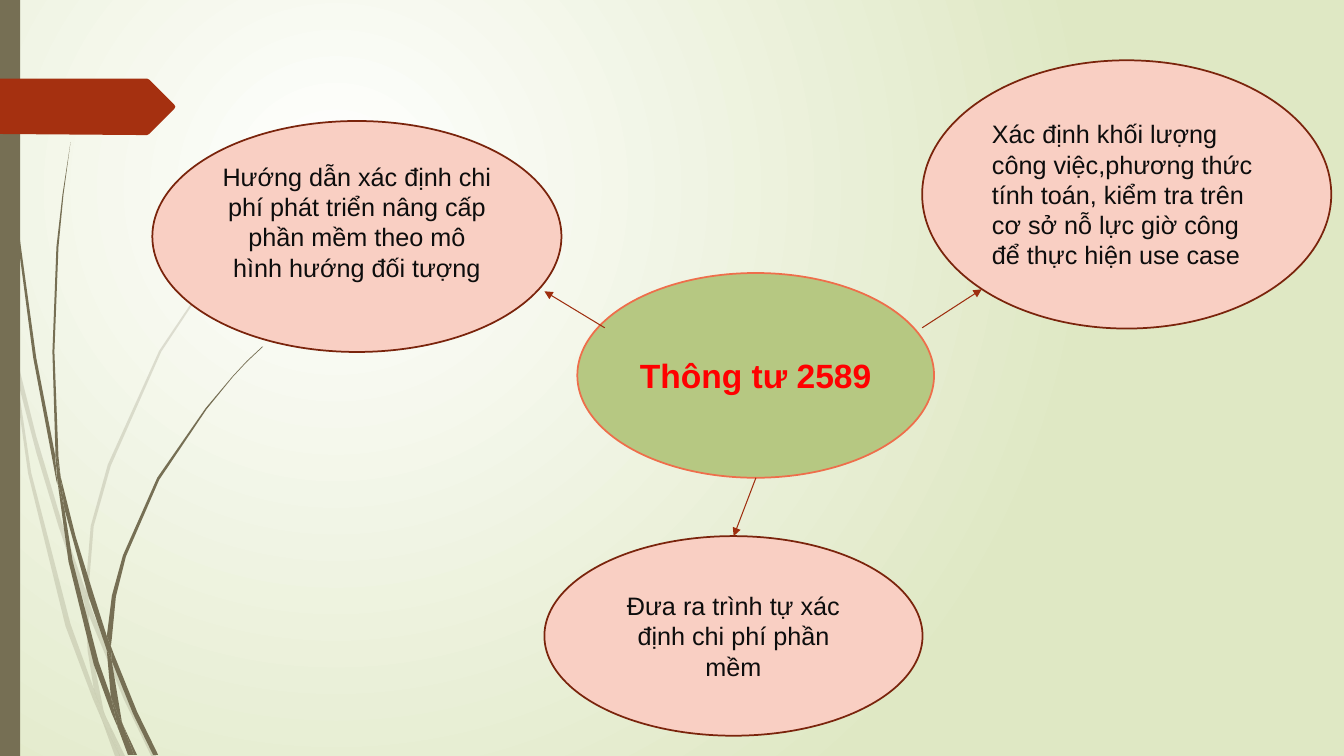
import pptx
import pptx.dml.color
import pptx.enum.dml
import pptx.enum.shapes
import pptx.enum.text
import pptx.oxml
import pptx.oxml.ns
import pptx.util
from lxml import etree

Cm = pptx.util.Cm
Pt = pptx.util.Pt
qn = pptx.oxml.ns.qn
ALIGN = pptx.enum.text.PP_ALIGN
SHAPE = pptx.enum.shapes.MSO_SHAPE

UNIT = Cm(2.54) / 100
OLIVE = "766F54"
RUST = "A53010"

BACK_BLADES = [
    [(11, 350), (9, 322), (0, 282), (0, 299), (10, 344)],
    [(58, 522), (84, 599), (85, 586), (62, 520), (36, 433), (14, 345), (17, 376), (36, 449)],
    [(92, 607), (88, 596), (88, 610), (123, 694), (150, 750), (155, 750), (127, 692)],
    [(119, 750), (124, 750), (105, 711)],
    [(93, 683), (70, 619), (31, 469), (17, 376), (11, 350), (28, 470), (65, 621),
     (92, 693), (101, 714), (99, 707)],
    [(84, 599), (87, 646), (93, 683), (96, 692), (105, 711), (103, 706), (91, 646),
     (88, 610), (88, 608)],
    [(88, 584), (93, 522), (110, 462), (160, 349), (229, 245), (268, 198), (290, 175),
     (312, 154), (312, 153), (289, 175), (268, 197), (228, 244), (158, 348), (107, 461),
     (90, 522), (85, 584), (85, 586), (88, 596)],
    [(101, 714), (114, 750), (119, 750)],
    [(88, 608), (88, 610), (88, 596), (85, 586), (84, 599)],
    [(96, 692), (93, 683), (99, 707), (101, 714), (119, 750), (105, 711)],
]

FRONT_BLADES = [
    [(7, 110), (17, 233), (33, 355), (56, 477), (57, 481), (55, 457), (55, 453), (36, 355),
     (19, 232), (8, 109), (5, 48), (4, 0), (3, 0), (4, 48)],
    [(88, 592), (106, 645), (106, 633), (106, 631), (93, 590), (75, 532), (60, 472), (64, 505)],
    [(113, 649), (110, 641), (111, 656), (132, 708), (152, 749), (157, 749), (136, 706)],
    [(110, 691), (98, 657), (72, 556), (64, 505), (57, 477), (68, 557), (93, 659),
     (111, 708), (117, 722), (116, 717)],
    [(60, 472), (58, 453), (54, 349), (58, 245), (63, 193), (70, 141), (62, 193), (56, 245),
     (52, 349), (55, 449)],
    [(133, 749), (136, 749), (122, 719)],
    [(57, 477), (64, 505), (60, 472), (55, 449), (55, 453)],
    [(111, 633), (115, 592), (125, 552), (158, 476), (205, 406), (231, 374), (245, 359),
     (261, 344), (260, 344), (245, 358), (231, 373), (204, 405), (156, 474), (122, 551),
     (111, 591), (106, 631), (110, 641)],
    [(117, 722), (127, 749), (131, 749)],
    [(106, 645), (110, 691), (116, 706), (122, 719), (121, 716), (111, 656), (109, 651)],
    [(106, 645), (109, 651), (111, 656), (110, 641), (106, 631), (106, 633)],
    [(116, 706), (110, 691), (116, 717), (117, 722), (130, 749), (133, 749), (122, 719)],
]

PENNANT = [(174, 106), (173, 108), (148, 133), (146, 134), (136, 134), (0, 133), (0, 78),
           (136, 78), (146, 78), (148, 79), (173, 104)]

TOPICS = [
    (3.84, 3.05, 10.31, 5.82, ALIGN.CENTER, 0.87,
     "Hướng dẫn xác định chi phí phát triển nâng cấp phần mềm theo mô hình hướng đối tượng"),
    (23.24, 1.52, 10.31, 6.76, ALIGN.LEFT, 0.13,
     "Xác định khối lượng công việc,phương thức tính toán, kiểm tra trên cơ sở nỗ lực "
     "giờ công để thực hiện use case"),
    (13.72, 13.51, 9.53, 5.03, ALIGN.CENTER, 0.13,
     "Đưa ra trình tự xác định chi phí phần mềm"),
]

ARROWS = [
    (15.24, 8.26, 13.72, 7.34),
    (23.24, 8.26, 24.74, 7.29),
    (19.05, 12.04, 18.49, 13.51),
]


def rgb(value):
    """Return the colour for a hex string."""
    return pptx.dml.color.RGBColor.from_string(value)


def paint(sp, fill, line=None):
    """Give a shape a flat fill, an optional outline and no shadow."""
    sp.shadow.inherit = False
    sp.fill.solid()
    sp.fill.fore_color.rgb = rgb(fill)
    if line:
        sp.line.color.rgb = rgb(line)
        sp.line.width = Pt(1.25)
    else:
        sp.line.fill.background()


def outline(shapes, points, x, y, fill, alpha=None):
    """Draw a closed outline whose points are offsets from x, y."""
    builder = shapes.build_freeform(*points[0], scale=UNIT)
    builder.add_line_segments(points[1:], close=True)
    sp = builder.convert_to_shape(Cm(x), Cm(y))
    paint(sp, fill)
    if alpha:
        color = sp.element.spPr.find(".//" + qn("a:srgbClr"))
        etree.SubElement(color, qn("a:alpha")).set("val", str(alpha * 1000))


def background(s):
    """Fill the slide with a round gradient centred at its upper left."""
    fill = s.background.fill
    fill.gradient()
    for stop, color in zip(fill.gradient_stops, ("FFFFFF", "DFE8C4")):
        stop.color.rgb = rgb(color)
    grad = s.element.find(".//" + qn("a:gradFill"))
    lin = grad.find(qn("a:lin"))
    circle = etree.Element(qn("a:path"), path="circle")
    etree.SubElement(circle, qn("a:fillToRect"), l="50000", t="50000", r="100000", b="100000")
    grad.replace(lin, circle)


def side_decor(s, x, y, h):
    """Draw the grass blades, side bar and pennant along the left edge."""
    for blades, alpha in ((BACK_BLADES, 20), (FRONT_BLADES, None)):
        group = s.shapes.add_group_shape()
        for points in blades:
            outline(group.shapes, points, x, y, OLIVE, alpha)
    bar = s.shapes.add_shape(SHAPE.RECTANGLE, Cm(x), Cm(y), Cm(0.51), Cm(h))
    paint(bar, OLIVE)
    outline(s.shapes, PENNANT, x, y, RUST)


def bubble(s, x, y, w, h, text, fill, line, color, size, align, bottom=0.13, bold=False):
    """Draw an ellipse with one paragraph of text."""
    sp = s.shapes.add_shape(SHAPE.OVAL, Cm(x), Cm(y), Cm(w), Cm(h))
    paint(sp, fill, line)
    tf = sp.text_frame
    tf.word_wrap = True
    tf.vertical_anchor = pptx.enum.text.MSO_ANCHOR.MIDDLE
    tf.margin_bottom = Cm(bottom)
    p = tf.paragraphs[0]
    p.alignment = align
    r = p.add_run()
    r.text = text
    r.font.name = "Arial"
    r.font.size = Pt(size)
    r.font.bold = bold
    r.font.color.rgb = rgb(color)


def arrow(s, x1, y1, x2, y2):
    """Draw a thin arrow that points at its end."""
    line = s.shapes.add_connector(
        pptx.enum.shapes.MSO_CONNECTOR.STRAIGHT, Cm(x1), Cm(y1), Cm(x2), Cm(y2))
    line.line.color.rgb = rgb("9E2E0F")
    line.line.width = Pt(0.75)
    ln = line.element.spPr.find(qn("a:ln"))
    etree.SubElement(ln, qn("a:tailEnd")).set("type", "triangle")
    etree.SubElement(line.element.spPr, qn("a:effectLst"))


def mind_map(s, x, y):
    """Draw the central circular, its three topics and the arrows to them."""
    bubble(s, x + 14.55, y + 6.88, 8.99, 5.16, "Thông tư 2589",
           "B6C882", "EE6E4B", "FF0000", 24, ALIGN.CENTER, bold=True)
    for left, top, w, h, align, bottom, text in TOPICS:
        bubble(s, x + left, y + top, w, h, text,
               "F9CFC3", "7A240C", "0D0D0D", 18, align, bottom)
    for x1, y1, x2, y2 in ARROWS:
        arrow(s, x + x1, y + y1, x + x2, y + y2)


def main():
    """Build the slide and save it."""
    prs = pptx.Presentation()
    prs.slide_width, prs.slide_height = Cm(33.87), Cm(19.05)
    s = prs.slides.add_slide(prs.slide_layouts[6])
    background(s)
    side_decor(s, 0, 0, 19.05)
    mind_map(s, 0, 0)
    prs.save("out.pptx")


if __name__ == "__main__":
    main()
